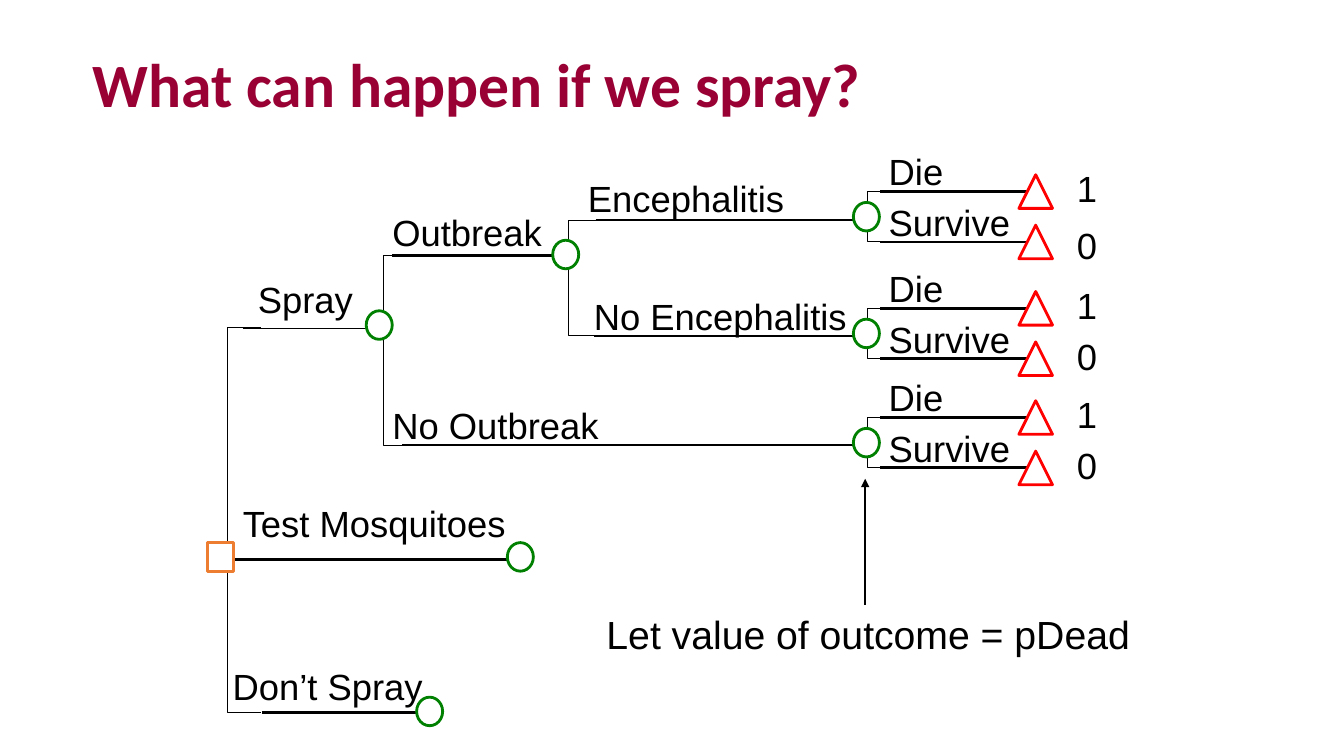
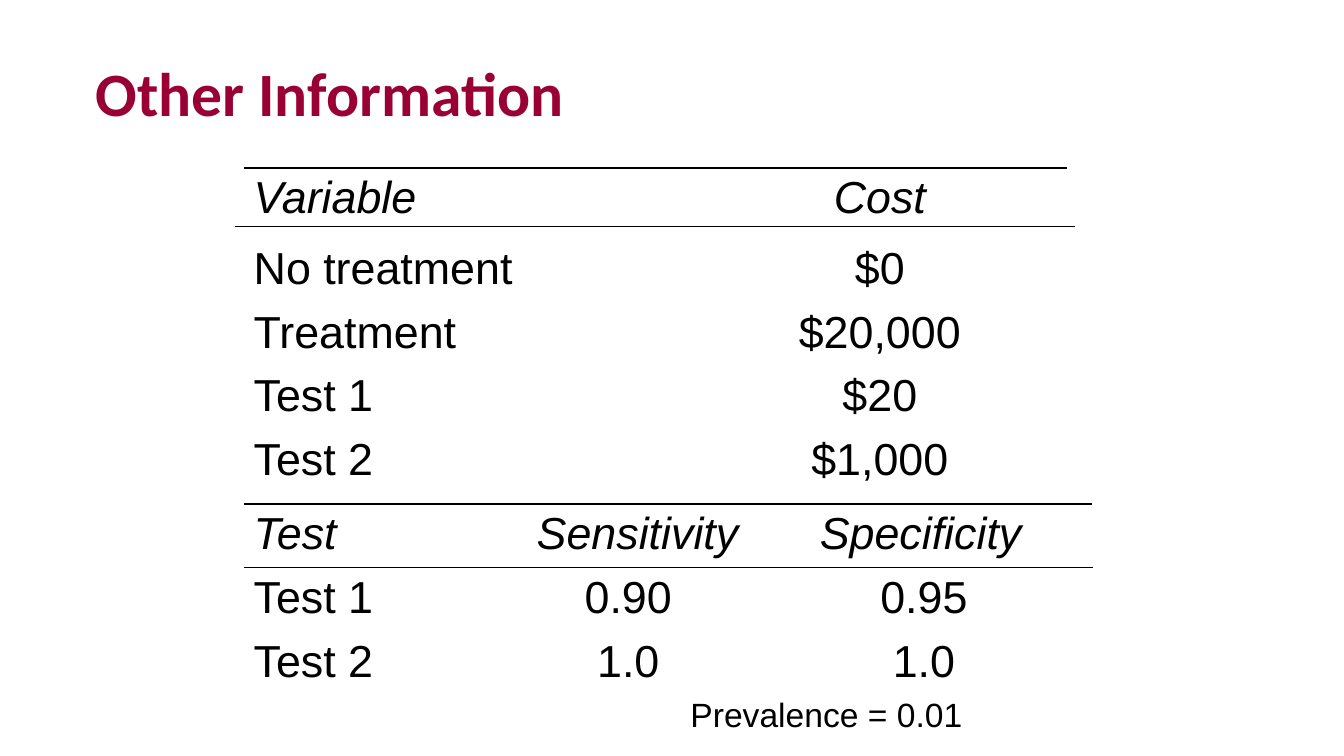
"""Build two decision-analysis slides: a spray decision tree and its cost tables."""
from lxml import etree
from pptx import Presentation
from pptx.dml.color import RGBColor
from pptx.enum.shapes import MSO_CONNECTOR, MSO_SHAPE
from pptx.enum.text import MSO_ANCHOR, PP_ALIGN
from pptx.oxml.ns import qn
from pptx.util import Emu, Pt

CRIMSON = RGBColor(0x99, 0x00, 0x33)
BLACK = RGBColor(0x00, 0x00, 0x00)
WHITE = RGBColor(0xFF, 0xFF, 0xFF)
GREEN = RGBColor(0x00, 0x80, 0x00)
ORANGE = RGBColor(0xED, 0x7D, 0x31)
RED = RGBColor(0xFF, 0x00, 0x00)
STRAIGHT = MSO_CONNECTOR.STRAIGHT
OVAL, SQUARE, TRIANGLE = MSO_SHAPE.OVAL, MSO_SHAPE.RECTANGLE, MSO_SHAPE.ISOSCELES_TRIANGLE
LEFT, CENTER = PP_ALIGN.LEFT, PP_ALIGN.CENTER
COLS, ROWS = 160, 90
UNIT = 76200
TITLE_ONLY = 5
NO_STYLE = "{2D5ABB26-0587-4C30-8999-92F81FD0307C}"


def grid(*cells):
    """Turn grid columns and rows into lengths."""
    return [Emu(round(c * UNIT)) for c in cells]


def add_text(s, text, x, y, w, size=26):
    """Add a black label without insets."""
    tf = s.shapes.add_textbox(*grid(x, y, w, size / 5)).text_frame
    tf.margin_left = tf.margin_top = tf.margin_right = tf.margin_bottom = 0
    tf.word_wrap = True
    tf.text = text
    font = tf.paragraphs[0].runs[0].font
    font.name, font.size, font.color.rgb = "Arial", Pt(size), BLACK


prs = Presentation()
prs.slide_width, prs.slide_height = grid(COLS, ROWS)

titles = [
    ("What can happen if we spray?", (9.8, 5.2, 124.2, 10.4)),
    ("Other Information", (10.2, 4, 135.4, 15)),
]
for title, box in titles:
    s = prs.slides.add_slide(prs.slide_layouts[TITLE_ONLY])
    sp = s.shapes.title
    sp.left, sp.top, sp.width, sp.height = grid(*box)
    tf = sp.text_frame
    tf.text = title
    tf.vertical_anchor = MSO_ANCHOR.MIDDLE
    p = tf.paragraphs[0]
    p.alignment, p.line_spacing = LEFT, 0.9
    font = p.runs[0].font
    font.name, font.size, font.bold, font.color.rgb = "Calibri", Pt(44), True, CRIMSON
tree, info = prs.slides

tables = [
    (20, 8.4, (50.5, 50.5), {1: 1.2}, True, [
        ("Variable", "Cost"),
        ("No treatment", "$0"),
        ("Treatment", "$20,000"),
        ("Test 1", "$20"),
        ("Test 2", "$1,000"),
    ]),
    (60, 7.6, (33.7, 33.7, 33.7), {1: 10.7, 2: 7.7}, False, [
        ("Test", "Sensitivity", "Specificity"),
        ("Test 1", "0.90", "0.95"),
        ("Test 2", "1.0", "1.0"),
    ]),
]
for top, head_height, widths, centred, centre_head, rows in tables:
    height = head_height + 7.6 * (len(rows) - 1)
    table = info.shapes.add_table(
        len(rows), len(widths), *grid(29, top, sum(widths), height)).table
    table.first_row = table.horz_banding = False
    table._tbl.tblPr.find(qn("a:tableStyleId")).text = NO_STYLE
    for col, width in zip(table.columns, widths):
        col.width = grid(width)[0]
    for i, row in enumerate(rows):
        table.rows[i].height = grid(7.6 if i else head_height)[0]
        for j, text in enumerate(row):
            cell = table.cell(i, j)
            cell.fill.background()
            cell.text = text
            p = cell.text_frame.paragraphs[0]
            if j in centred and (i or centre_head):
                p.alignment = CENTER
                cell.margin_right = grid(centred[j])[0]
            font = p.runs[0].font
            font.name, font.size, font.color.rgb = "Arial", Pt(32), BLACK
            font.italic = i == 0
            if i == 0 and not centre_head:
                border = etree.Element(qn("a:lnB"), w=str(Pt(1)))
                fill = etree.SubElement(border, qn("a:solidFill"))
                etree.SubElement(fill, qn("a:srgbClr"), val=str(BLACK))
                cell._tc.get_or_add_tcPr().insert(0, border)

lines = [
    (tree, 46.7, 30.4, 65.8, 30.4, 0),
    (tree, 28.9, 39.1, 43.7, 39.1, 1),
    (tree, 26.8, 66.6, 61.2, 66.6, 0),
    (tree, 31.2, 84.8, 49.9, 84.8, 0),
    (tree, 47.9, 53, 101.9, 53, 1),
    (tree, 70.9, 26.2, 102.8, 26.2, 1),
    (tree, 70.7, 40, 102.7, 40, 1),
    (tree, 103, 72, 103, 57, 1.5),
    (info, 28, 27, 128, 27, 0.75),
    (info, 29, 20, 127, 20, 0.75),
    (info, 29, 60, 130, 60, 0.75),
]
bends = [
    (45.7, 38.2, 30.4), (45.7, 39.4, 53),
    (67.7, 31, 26.2), (67.7, 32, 40),
    (27.1, 63.8, 39), (27.1, 59.8, 84.8),
]
nodes = [
    (OVAL, 43.6, 37, GREEN), (OVAL, 65.8, 28.6, GREEN),
    (OVAL, 60.4, 64.6, GREEN), (OVAL, 49.6, 83, GREEN),
    (SQUARE, 24.7, 64.6, ORANGE),
]
labels = [
    ("Spray", 30.7, 33, 16),
    ("Outbreak", 46.7, 25, 20),
    ("No Outbreak", 46.7, 48, 26),
    ("Encephalitis", 70, 21, 31),
    ("No Encephalitis", 70.7, 35, 34),
    ("Test Mosquitoes", 28.9, 59.6, 34),
    ("Don’t Spray", 27.7, 79, 24),
]
for y, zero_gap in ((22.8, 3.8), (36.7, 3.1), (49.7, 3.1)):
    bends += [(103.3, y + 3, y), (103.3, y + 1, y + 6)]
    nodes.append((OVAL, 101.6, y + 1.3, GREEN))
    for outcome, value, row, value_y in (
            ("Die", "1", y, y - 3), ("Survive", "0", y + 6, y + zero_gap)):
        lines.append((tree, 104.8, row, 123.7, row, 0))
        nodes.append((TRIANGLE, 121.3, row - 2, RED))
        labels += [(outcome, 105.8, row - 5, 16), (value, 128.2, value_y, 4)]

for s, x1, y1, x2, y2, width in lines:
    line = s.shapes.add_connector(STRAIGHT, *grid(x1, y1, x2, y2))
    line.line.color.rgb, line.line.width = BLACK, Pt(width)
    etree.SubElement(line._element.spPr, qn("a:effectLst"))
    if x1 == x2:
        etree.SubElement(line.line._get_or_add_ln(), qn("a:tailEnd"), type="triangle")

for x, start, end in bends:
    path = tree.shapes.build_freeform(*grid(x, start))
    path.add_line_segments([grid(x, end), grid(x + 4, end)], close=False)
    sp = path.convert_to_shape()
    sp.shadow.inherit = False
    sp.fill.background()
    sp.line.color.rgb, sp.line.width = BLACK, Pt(0)

for kind, x, y, color in nodes:
    size = (4, 4) if kind == TRIANGLE else (3.1, 3.4)
    sp = tree.shapes.add_shape(kind, *grid(x, y, *size))
    sp.shadow.inherit = False
    sp.fill.solid()
    sp.fill.fore_color.rgb = WHITE
    sp.line.color.rgb, sp.line.width = color, Pt(2)

for label in labels:
    add_text(tree, *label)
add_text(tree, "Let value of outcome = pDead", 72.2, 72.6, 64, 28)
add_text(info, "Prevalence = 0.01", 82.2, 82.6, 38, 24)

prs.save("out.pptx")
